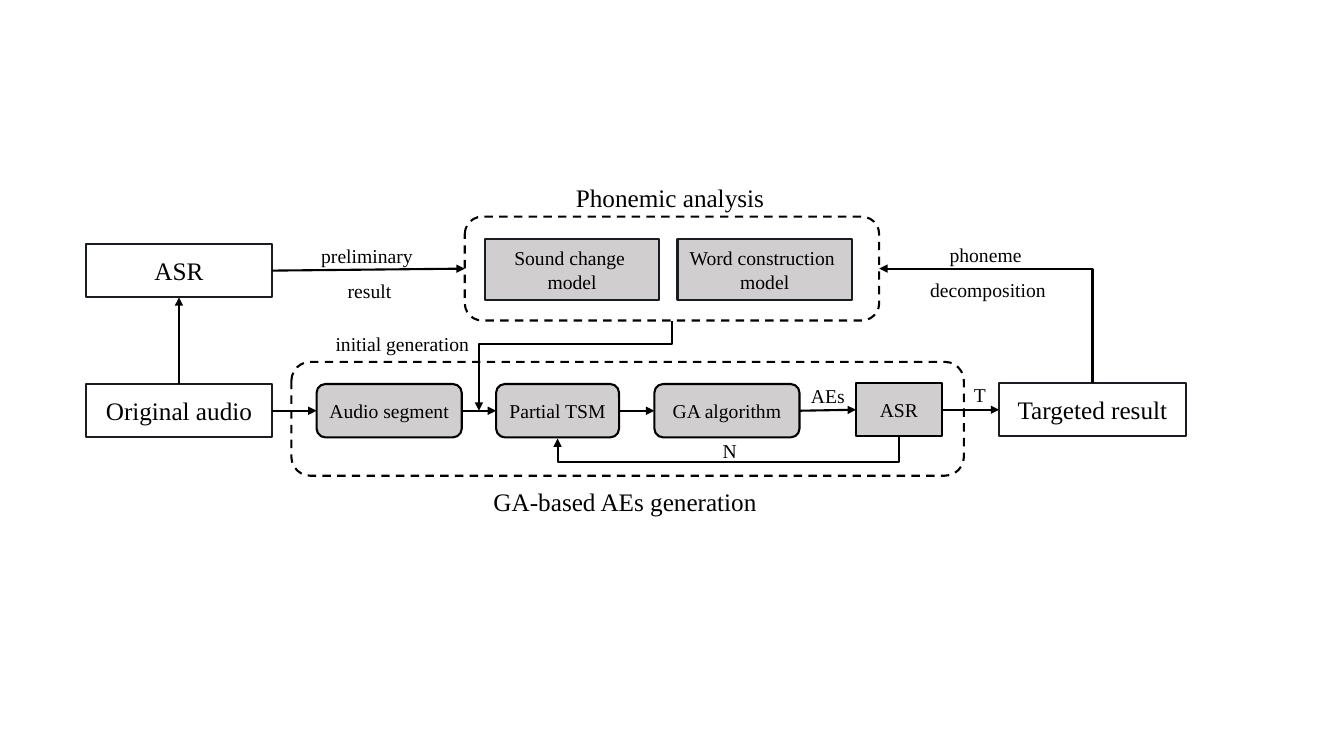
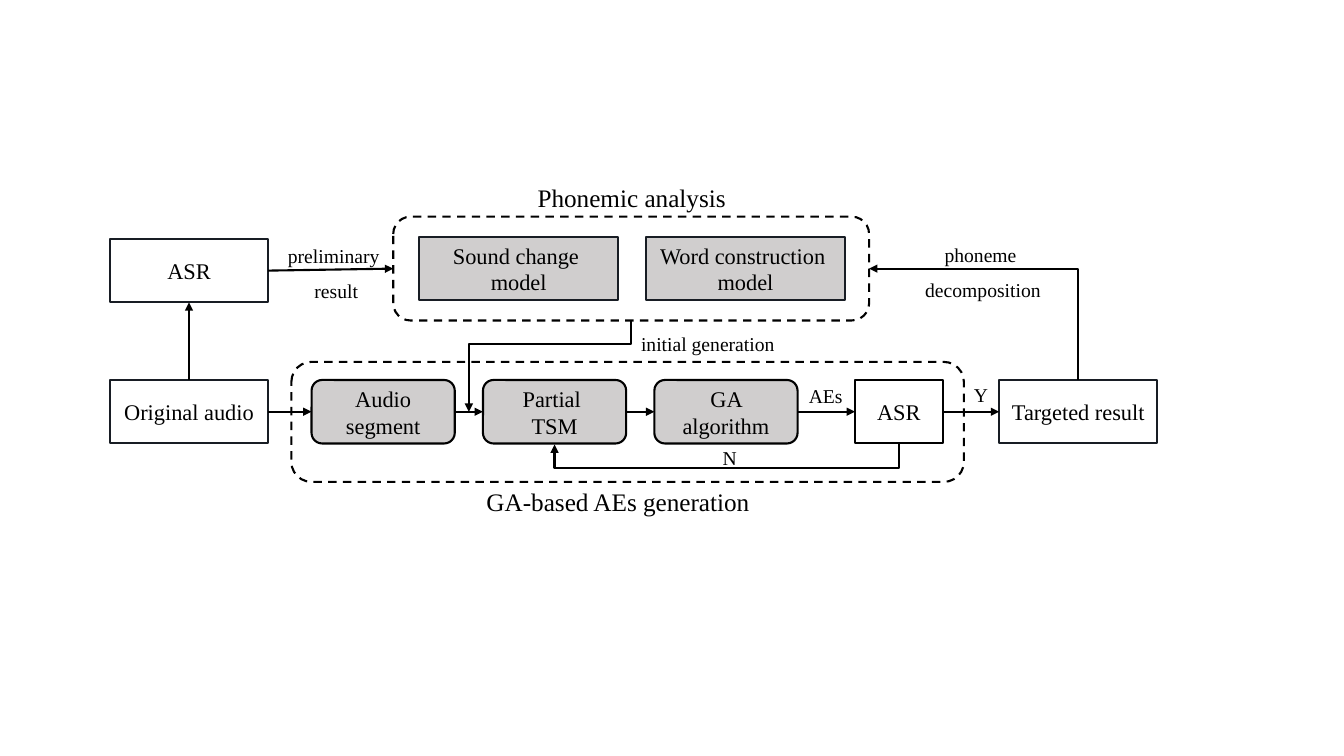
import dataclasses
import lxml.etree
import pptx
import pptx.dml.color
import pptx.enum.dml
import pptx.enum.shapes
import pptx.enum.text
import pptx.oxml.ns
import pptx.util

Inches = pptx.util.Inches
Kind = pptx.enum.shapes.MSO_SHAPE
Joint = pptx.enum.shapes.MSO_CONNECTOR
Align = pptx.enum.text.PP_ALIGN
qn = pptx.oxml.ns.qn

COLORS = {"ink": "000000", "edge": "181D24", "chip": "D0CECE", "paper": "FFFFFF"}
FONT = "Times New Roman"
LINE_WIDTH = 1.5
LABEL_SIZE = 14
HEADING_SIZE = 18
CARD_FRAME = {
    "word_wrap": True,
    "vertical_anchor": pptx.enum.text.MSO_ANCHOR.MIDDLE,
    "margin_left": Inches(0.09),
    "margin_right": Inches(0.09),
}
LABEL_FRAME = {
    "word_wrap": False,
    "auto_size": pptx.enum.text.MSO_AUTO_SIZE.SHAPE_TO_FIT_TEXT,
}


@dataclasses.dataclass
class Box:
    left: float
    top: float
    width: float
    height: float

    @property
    def right(self):
        return self.left + self.width

    @property
    def bottom(self):
        return self.top + self.height

    @property
    def mid_x(self):
        return self.left + self.width / 2

    @property
    def mid_y(self):
        return self.top + self.height / 2

    def inside(self, left, top, width, height):
        return Box(self.left + left, self.top + top, width, height)

    def lengths(self):
        return [Inches(value) for value in dataclasses.astuple(self)]


def color(name):
    return pptx.dml.color.RGBColor.from_string(COLORS[name])


def apply(target, values):
    for name, value in values.items():
        setattr(target, name, value)


def write(frame, lines, size, frame_format, para_format):
    apply(frame, frame_format)
    for index, line in enumerate(lines):
        para = frame.add_paragraph() if index else frame.paragraphs[0]
        apply(para, para_format)
        span = para.add_run()
        span.text = line
        apply(span.font, {"name": FONT, "size": pptx.util.Pt(size)})
        span.font.color.rgb = color("ink")


def card(shapes, box, lines, size, kind=Kind.RECTANGLE, fill=None, edge="edge", dash=None):
    shape = shapes.add_shape(kind, *box.lengths())
    shape.shadow.inherit = False
    if fill:
        shape.fill.solid()
        shape.fill.fore_color.rgb = color(fill)
    else:
        shape.fill.background()
    shape.line.color.rgb = color(edge)
    apply(shape.line, {"width": pptx.util.Pt(LINE_WIDTH), "dash_style": dash})
    write(shape.text_frame, lines, size, CARD_FRAME, {"alignment": Align.CENTER})


def region(shapes, box):
    dash = pptx.enum.dml.MSO_LINE.DASH
    card(shapes, box, [], LABEL_SIZE, Kind.ROUNDED_RECTANGLE, edge="ink", dash=dash)


def label(shapes, box, lines, size=LABEL_SIZE, spacing=1.5, align=Align.CENTER):
    shape = shapes.add_textbox(*box.lengths())
    para_format = {"alignment": align, "line_spacing": spacing}
    write(shape.text_frame, lines, size, LABEL_FRAME, para_format)


def arrow(shapes, start, end, joint=Joint.STRAIGHT):
    points = [Inches(value) for value in (*start, *end)]
    connector = shapes.add_connector(joint, *points)
    connector.line.color.rgb = color("ink")
    connector.line.width = pptx.util.Pt(LINE_WIDTH)
    properties = connector.element.find(qn("p:spPr"))
    tail = lxml.etree.SubElement(properties.find(qn("a:ln")), qn("a:tailEnd"))
    tail.set("type", "triangle")
    lxml.etree.SubElement(properties, qn("a:effectLst"))
    return properties


def elbow(shapes, start, end, turn):
    width, height = abs(end[1] - start[1]), abs(end[0] - start[0])
    left = (start[0] + end[0] - width) / 2
    top = (start[1] + end[1] - height) / 2
    corner = (left + width, top + height)
    properties = arrow(shapes, (left, top), corner, Joint.ELBOW)
    properties.find(qn("a:xfrm")).set("rot", str(turn * 60000))
    return properties, width


def elbow_down(shapes, start, end, drop):
    properties, width = elbow(shapes, start, end, 90)
    guides = properties.find(qn("a:prstGeom")).find(qn("a:avLst"))
    guide = lxml.etree.SubElement(guides, qn("a:gd"))
    guide.set("name", "adj1")
    guide.set("fmla", f"val {round(drop / width * 100000)}")


def elbow_up(shapes, start, end):
    properties, _ = elbow(shapes, start, end, 270)
    properties.find(qn("a:xfrm")).set("flipV", "1")
    properties.find(qn("a:prstGeom")).set("prst", "bentConnector2")


def phonemic_analysis(page, box, plan):
    shapes = page.shapes.add_group_shape().shapes
    region(shapes, box)
    heading = box.inside(plan["heading_left"], -0.39, 2.09, 0.4)
    label(shapes, heading, ["Phonemic analysis"], HEADING_SIZE, 1)
    left, top, width, height = plan["model"]
    for index, name in enumerate(("Sound change ", "Word construction ")):
        model = box.inside(left + index * plan["model_pitch"], top, width, height)
        card(shapes, model, [name, "model"], plan["chip_size"], fill="chip")


def generation(page, box, plan):
    shapes = page.shapes
    region(shapes, box)
    caption = box.inside(plan["caption_left"], 1.19, 2.84, 0.4)
    label(shapes, caption, ["GA-based AEs generation"], HEADING_SIZE, 1)
    names = (["Audio segment"], plan["partial"], ["GA algorithm"], ["ASR"])
    steps = [
        box.inside(left, top, width, plan["step_height"])
        for left, top, width in plan["steps"]
    ]
    for step, lines in zip(steps[:3], names):
        kind = Kind.ROUNDED_RECTANGLE
        card(shapes, step, lines, plan["chip_size"], kind, "chip", "ink")
    card(shapes, steps[3], names[3], plan["chip_size"], fill=plan["asr_fill"], edge="ink")
    for source, target in zip(steps, steps[1:]):
        arrow(shapes, (source.right, source.mid_y), (target.left, target.mid_y))
    partial, algorithm, asr = steps[1:]
    start, end = (asr.mid_x, asr.bottom), (partial.mid_x, partial.bottom + 0.01)
    elbow_down(shapes, start, end, 0.25)
    label(shapes, Box(algorithm.right + 0.01, box.top + 0.05, 0.54, 0.41), ["AEs"])
    marks = (
        (plan["success"], box.right, box.top + 0.16),
        ("N", box.left + 4.18, partial.bottom - 0.03),
    )
    for mark, left, top in marks:
        label(shapes, Box(left, top, 0.34, 0.34), [mark], LABEL_SIZE, 1, Align.LEFT)
    return steps


def pipeline(page, plan):
    shapes = page.shapes
    analysis, loop = Box(*plan["analysis"]), Box(*plan["loop"])
    width, height = plan["side"]
    asr, audio, target = (Box(left, top, width, height) for left, top in plan["sides"])
    for box, name in ((asr, "ASR"), (audio, "Original audio"), (target, "Targeted result")):
        card(shapes, box, [name], plan["side_size"])
    phonemic_analysis(page, analysis, plan)
    steps = generation(page, loop, plan)
    first, second, last = steps[0], steps[1], steps[-1]

    arrow(shapes, (audio.mid_x, audio.top), (asr.mid_x, asr.bottom))
    arrow(shapes, (asr.right, asr.mid_y), (analysis.left, analysis.mid_y))
    arrow(shapes, (audio.right, audio.mid_y), (first.left, first.mid_y))
    arrow(shapes, (last.right, last.mid_y), (target.left, target.mid_y))
    elbow_up(shapes, (target.mid_x, target.top), (analysis.right, analysis.mid_y))
    joint = ((first.right + second.left) / 2, second.mid_y)
    elbow_down(shapes, (analysis.mid_x, analysis.bottom), joint, 0.23)

    preliminary, decomposition, initial = plan["label_lefts"]
    top = analysis.top + 0.1
    label(shapes, Box(preliminary, top, 1.17, 0.77), ["preliminary ", "result"])
    label(shapes, Box(decomposition, top - 0.01, 1.41, 0.77), ["phoneme", " decomposition"])
    box = Box(initial, analysis.bottom - 0.05, 1.64, 0.41)
    label(shapes, box, ["initial generation "], align=Align.LEFT)


PLANS = (
    {
        "analysis": (4.61, 2.15, 4.11, 1.03),
        "heading_left": 0.99,
        "model": (0.2, 0.22, 1.73, 0.61),
        "model_pitch": 1.91,
        "loop": (2.89, 3.59, 6.67, 1.13),
        "caption_left": 1.89,
        "steps": ((0.25, 0.22, 1.44), (2.03, 0.22, 1.22), (3.6, 0.22, 1.44), (5.6, 0.21, 0.85)),
        "step_height": 0.53,
        "partial": ["Partial TSM"],
        "asr_fill": "chip",
        "success": "T",
        "side": (1.85, 0.53),
        "sides": ((0.85, 2.42), (0.85, 3.81), (9.91, 3.8)),
        "side_size": 18,
        "chip_size": 14,
        "label_lefts": (3.08, 9.07, 3.23),
    },
    {
        "analysis": (3.9, 2.15, 4.72, 1.03),
        "heading_left": 1.32,
        "model": (0.26, 0.2, 1.97, 0.63),
        "model_pitch": 2.25,
        "loop": (2.89, 3.59, 6.67, 1.19),
        "caption_left": 1.82,
        "steps": ((0.2, 0.18, 1.42), (1.9, 0.18, 1.42), (3.6, 0.18, 1.42), (5.59, 0.18, 0.87)),
        "step_height": 0.63,
        "partial": ["Partial ", "TSM"],
        "asr_fill": "paper",
        "success": "Y",
        "side": (1.57, 0.63),
        "sides": ((1.09, 2.37), (1.09, 3.77), (9.91, 3.77)),
        "side_size": 16,
        "chip_size": 16,
        "label_lefts": (2.75, 9.02, 6.26),
    },
)

deck = pptx.Presentation()
apply(deck, {"slide_width": Inches(13.33), "slide_height": Inches(7.5)})
for plan in PLANS:
    pipeline(deck.slides.add_slide(deck.slide_layouts[6]), plan)
deck.save("out.pptx")
